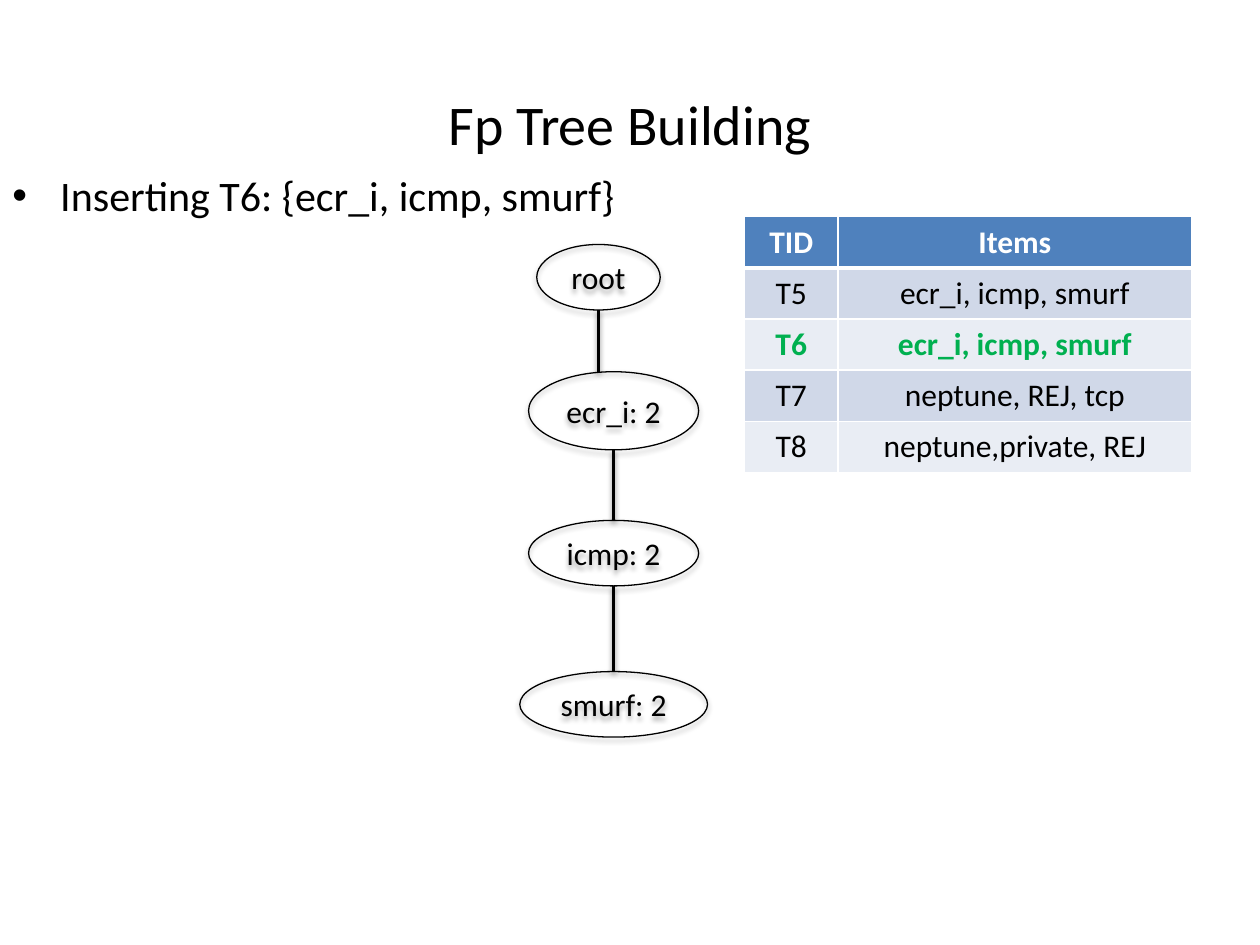
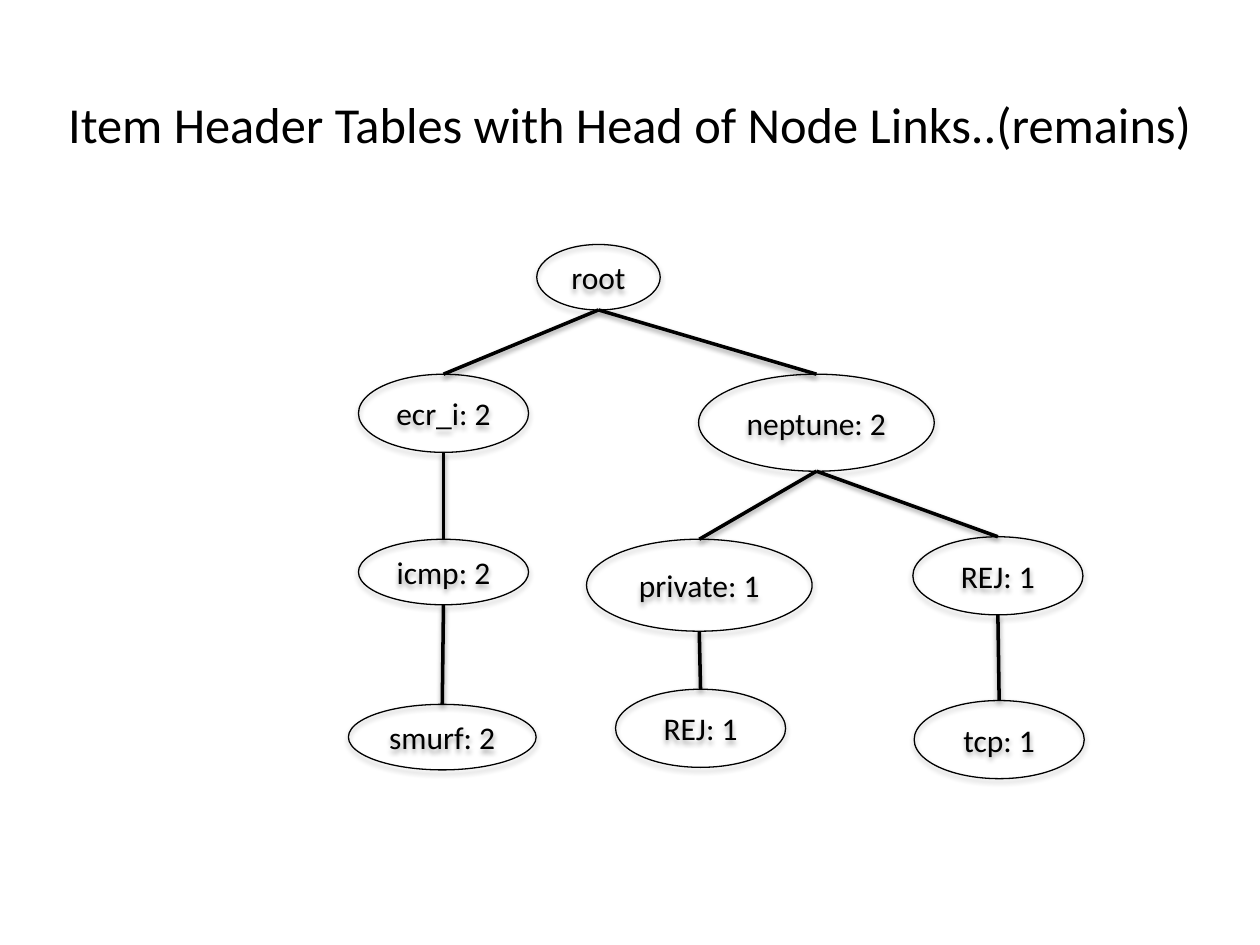
from typing import NamedTuple, Optional

from lxml.etree import SubElement
from pptx import Presentation
from pptx.dml.color import RGBColor
from pptx.enum.shapes import MSO_CONNECTOR, MSO_SHAPE
from pptx.enum.text import MSO_ANCHOR, MSO_AUTO_SIZE, PP_ALIGN
from pptx.oxml.ns import qn
from pptx.util import Inches, Pt

BLACK = RGBColor(0x00, 0x00, 0x00)
WHITE = RGBColor(0xFF, 0xFF, 0xFF)
HEADER_BLUE = RGBColor(0x4F, 0x81, 0xBD)
BAND_DARK = RGBColor(0xD0, 0xD8, 0xE8)
BAND_LIGHT = RGBColor(0xE9, 0xED, 0xF4)
HIGHLIGHT_GREEN = RGBColor(0x00, 0xB0, 0x50)
FONT = "Calibri"

TITLE_ONLY = 5
TITLE_BOX = (0, 0.66, 10, 0.64)
ELLIPSE_TOP, ELLIPSE_BOTTOM = 0, 4  # an ellipse has eight connection sites


class Node(NamedTuple):
    """A tree node; center and top are relative to the tree's box."""
    label: str
    center: float
    top: float
    width: float
    height: float
    parent: Optional[int] = None  # index of the parent node
    plumb: bool = False  # the edge drops straight down from the parent


ROOT_SIZE = (0.98, 0.52)
SMALL = (1.35, 0.52)
MEDIUM = (1.35, 0.62)
SMURF_SIZE = (1.49, 0.52)

INSERTION_TREE = [
    Node("root", 0.63, 0, *ROOT_SIZE),
    Node("ecr_i: 2", 0.75, 1.01, *MEDIUM, parent=0, plumb=True),
    Node("icmp: 2", 0.75, 2.19, *SMALL, parent=1),
    Node("smurf: 2", 0.75, 3.39, *SMURF_SIZE, parent=2),
]
FULL_TREE = [
    Node("root", 1.99, 0, *ROOT_SIZE),
    Node("ecr_i: 2", 0.76, 1.03, *MEDIUM, parent=0),
    Node("icmp: 2", 0.76, 2.34, *SMALL, parent=1),
    Node("smurf: 2", 0.75, 3.65, *SMURF_SIZE, parent=2),
    Node("neptune: 2", 3.72, 1.03, 1.87, 0.77, parent=0),
    Node("REJ: 1", 5.16, 2.32, *MEDIUM, parent=4),
    Node("tcp: 1", 5.17, 3.62, *MEDIUM, parent=5),
    Node("private: 1", 2.79, 2.34, 1.79, 0.73, parent=4),
    Node("REJ: 1", 2.8, 3.53, *MEDIUM, parent=7),
]

TRANSACTIONS = [
    ("TID", "Items"),
    ("T5", "ecr_i, icmp, smurf"),
    ("T6", "ecr_i, icmp, smurf"),
    ("T7", "neptune, REJ, tcp"),
    ("T8", "neptune,private, REJ"),
]


def format_text(paragraph, size, color=BLACK, bold=False):
    for run in paragraph.runs:
        run.font.name = FONT
        run.font.size = Pt(size)
        run.font.color.rgb = color
        run.font.bold = bold


def add_shadow(shape, opacity, distance):
    effects = SubElement(shape._element.spPr, qn("a:effectLst"))
    shadow = SubElement(effects, qn("a:outerShdw"), blurRad=str(Pt(3.1)),
                        dist=str(Pt(distance)), dir="5400000", rotWithShape="0")
    color = SubElement(shadow, qn("a:srgbClr"), val=str(BLACK))
    SubElement(color, qn("a:alpha"), val=str(opacity * 1000))


def add_titled_slide(presentation, title, size):
    slide = presentation.slides.add_slide(presentation.slide_layouts[TITLE_ONLY])
    shape = slide.shapes.title
    shape.left, shape.top, shape.width, shape.height = map(Inches, TITLE_BOX)
    frame = shape.text_frame
    frame.text = title
    frame.auto_size = MSO_AUTO_SIZE.NONE
    frame.vertical_anchor = MSO_ANCHOR.MIDDLE
    frame.paragraphs[0].alignment = PP_ALIGN.CENTER
    format_text(frame.paragraphs[0], size)
    return slide


def add_bullet(slide, text, left, top, width, height):
    box = slide.shapes.add_textbox(*map(Inches, (left, top, width, height)))
    box.text_frame.word_wrap = True
    paragraph = box.text_frame.paragraphs[0]
    paragraph.text = text
    paragraph.space_before = Pt(4.8)
    format_text(paragraph, 24)
    properties = paragraph._p.get_or_add_pPr()
    properties.set("marL", str(Inches(0.38)))
    properties.set("indent", str(Inches(-0.38)))
    SubElement(properties, qn("a:buFont"), typeface="Arial")
    SubElement(properties, qn("a:buChar"), char="•")


def add_node(slide, node, left, top):
    shape = slide.shapes.add_shape(
        MSO_SHAPE.OVAL, Inches(left + node.center - node.width / 2),
        Inches(top + node.top), Inches(node.width), Inches(node.height))
    shape.fill.background()
    shape.line.color.rgb = BLACK
    shape.line.width = Pt(0.75)
    add_shadow(shape, 35, 1.8)
    frame = shape.text_frame
    frame.text = node.label
    frame.word_wrap = False
    frame.vertical_anchor = MSO_ANCHOR.MIDDLE
    frame.paragraphs[0].alignment = PP_ALIGN.CENTER
    format_text(frame.paragraphs[0], 18)
    return shape


def add_edge(slide, parent, child, plumb):
    start_x = parent.left + parent.width // 2
    end_x = start_x if plumb else child.left + child.width // 2
    edge = slide.shapes.add_connector(
        MSO_CONNECTOR.STRAIGHT, start_x, parent.top + parent.height, end_x, child.top)
    edge.begin_connect(parent, 2)
    edge._element.nvCxnSpPr.cNvCxnSpPr.stCxn.idx = ELLIPSE_BOTTOM
    if not plumb:
        edge.end_connect(child, ELLIPSE_TOP)
    edge.line.color.rgb = BLACK
    edge.line.width = Pt(2)
    add_shadow(edge, 38, 1.6)


def add_tree(slide, nodes, left, top):
    shapes = [add_node(slide, node, left, top) for node in nodes]
    for node, shape in zip(nodes, shapes):
        if node.parent is not None:
            add_edge(slide, shapes[node.parent], shape, node.plumb)


def set_borders(cell, **widths):
    properties = cell._tc.get_or_add_tcPr()
    for side in "LRTB":
        line = SubElement(properties, qn(f"a:ln{side}"), w=str(Pt(widths.get(side, 1))))
        fill = SubElement(line, qn("a:solidFill"))
        SubElement(fill, qn("a:srgbClr"), val=str(WHITE))


def add_transaction_table(slide, rows, highlighted, left, top, width, height):
    table = slide.shapes.add_table(
        len(rows), 2, *map(Inches, (left, top, width, height))).table
    table.columns[0].width = Inches(0.74)
    table.columns[1].width = Inches(width - 0.74)
    for row_index, row in enumerate(rows):
        is_header = row_index == 0
        is_highlighted = row[0] == highlighted
        if is_header:
            fill, color = HEADER_BLUE, WHITE
        else:
            fill = BAND_DARK if row_index % 2 else BAND_LIGHT
            color = HIGHLIGHT_GREEN if is_highlighted else BLACK
        for column_index, text in enumerate(row):
            cell = table.cell(row_index, column_index)
            # The rule under the header is thicker
            set_borders(cell, B=3 if is_header else 1, T=3 if row_index == 1 else 1)
            cell.fill.solid()
            cell.fill.fore_color.rgb = fill
            paragraph = cell.text_frame.paragraphs[0]
            paragraph.text = text
            paragraph.alignment = PP_ALIGN.CENTER
            format_text(paragraph, 18, color, is_header or is_highlighted)


def build_insertion_slide(presentation):
    slide = add_titled_slide(presentation, "Fp Tree Building", 32)
    add_bullet(slide, "Inserting T6: {ecr_i, icmp, smurf}", 0, 1.3, 10, 6.2)
    add_tree(slide, INSERTION_TREE, 4.12, 1.94)
    add_transaction_table(slide, TRANSACTIONS, "T6", 5.91, 1.72, 3.55, 2.03)


def build_full_tree_slide(presentation):
    slide = add_titled_slide(
        presentation, "Item Header Tables with Head of Node Links..(remains)", 28.8)
    add_tree(slide, FULL_TREE, 2.76, 1.94)


def main():
    presentation = Presentation()
    presentation.slide_width = Inches(10)
    presentation.slide_height = Inches(7.5)
    build_insertion_slide(presentation)
    build_full_tree_slide(presentation)
    presentation.save("out.pptx")


if __name__ == "__main__":
    main()
